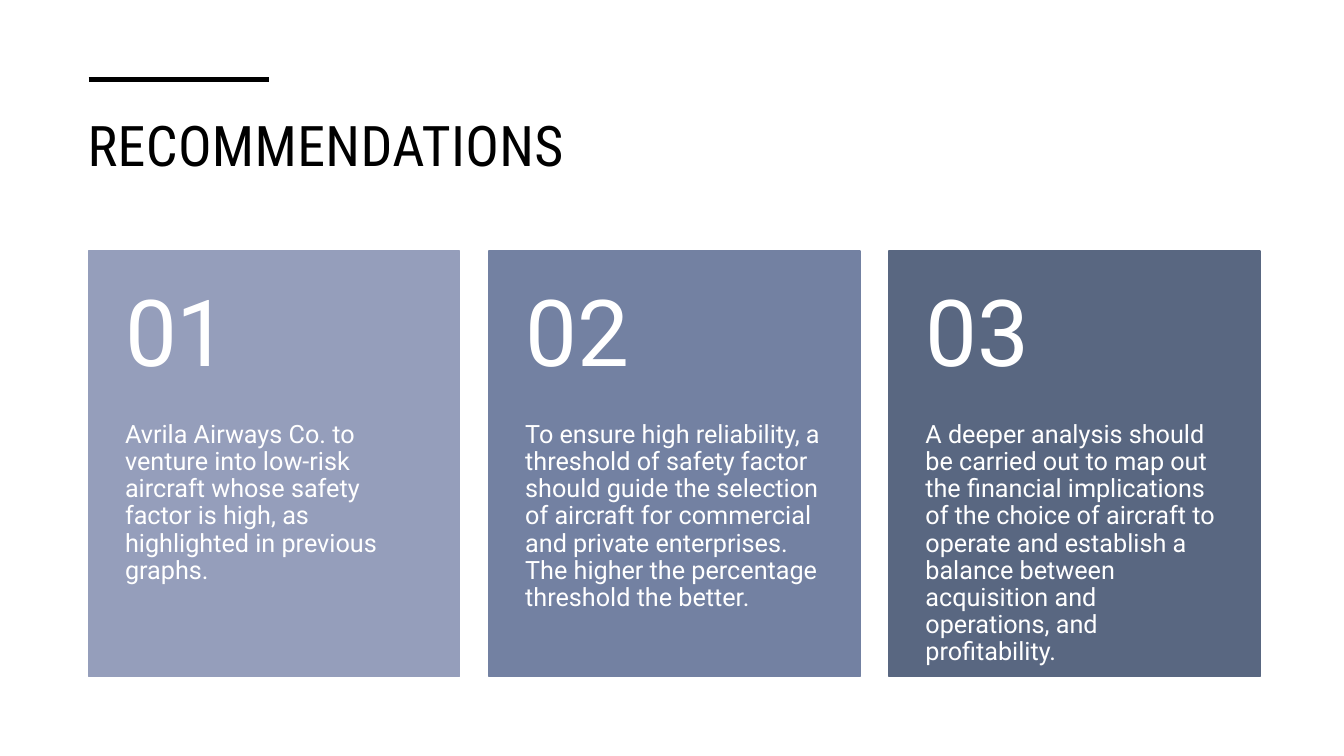
import pptx
import pptx.dml.color
import pptx.enum.shapes
import pptx.enum.text
import pptx.oxml
import pptx.util
from pptx.util import Pt

ANCHOR = pptx.enum.text.MSO_ANCHOR

CARD_LEFT, CARD_TOP = 63.4, 179.3
CARD_WIDTH, CARD_HEIGHT = 265, 303.8
CARD_PITCH = 285.85
NUMBER_HEIGHT = 121.7
PADDING = 25.9

CARDS = [
    ("959EBB", "Avrila Airways Co. to venture into low-risk aircraft whose safety "
               "factor is high, as highlighted in previous graphs."),
    ("7381A2", "To ensure high reliability, a threshold of safety factor should guide "
               "the selection of aircraft for commercial and private enterprises. "
               "The higher the percentage threshold the better."),
    ("596781", "A deeper analysis should be carried out to map out the financial "
               "implications of the choice of aircraft to operate and establish a "
               "balance between acquisition and operations, and profitability."),
]


def color(hex_string):
    return pptx.dml.color.RGBColor.from_string(hex_string)


def set_frame(frame, anchor, left, top, right, bottom):
    """Set wrapping, anchoring and insets of a text frame."""
    frame.word_wrap = True
    frame.auto_size = pptx.enum.text.MSO_AUTO_SIZE.NONE
    frame.vertical_anchor = anchor
    frame.margin_left, frame.margin_top = Pt(left), Pt(top)
    frame.margin_right, frame.margin_bottom = Pt(right), Pt(bottom)


def add_run(paragraph, text, size, font, hex_string):
    run = paragraph.add_run()
    run.text = text
    run.font.size = Pt(size)
    run.font.name = font
    run.font.color.rgb = color(hex_string)
    return run


def add_title(slide, text):
    title = slide.shapes.title
    title.left, title.top = Pt(55.4), Pt(72)
    title.width, title.height = Pt(850.3), Pt(82.8)
    set_frame(title.text_frame, ANCHOR.TOP, 7.2, 7.2, 7.2, 3.6)
    paragraph = title.text_frame.paragraphs[0]
    paragraph.alignment = pptx.enum.text.PP_ALIGN.LEFT
    run = add_run(paragraph, text, 40, "Roboto Condensed", "000000")
    run._r.get_or_add_rPr().set("spc", "30")


def add_rule(slide, left, right, top):
    rule = slide.shapes.add_connector(
        pptx.enum.shapes.MSO_CONNECTOR.STRAIGHT, Pt(left), Pt(top), Pt(right), Pt(top))
    rule.line.color.rgb = color("000000")
    rule.line.width = Pt(3.5)
    rule._element.spPr.append(pptx.oxml.parse_xml(
        '<a:effectLst xmlns:a="http://schemas.openxmlformats.org/drawingml/2006/main"/>'))


def add_card_text(shapes, text, size, left, top, height, anchor, inset_top, inset_bottom):
    box = shapes.add_textbox(Pt(left), Pt(top), Pt(CARD_WIDTH), Pt(height))
    set_frame(box.text_frame, anchor, PADDING, inset_top, PADDING, inset_bottom)
    paragraph = box.text_frame.paragraphs[0]
    paragraph.line_spacing = 0.9
    add_run(paragraph, text, size, "Roboto", "FFFFFF")


def add_card(slide, index, fill, text):
    """Add a grouped panel with its number above its text."""
    left = CARD_LEFT + index * CARD_PITCH
    shapes = slide.shapes.add_group_shape().shapes
    panel = shapes.add_shape(
        pptx.enum.shapes.MSO_SHAPE.RECTANGLE,
        Pt(left), Pt(CARD_TOP), Pt(CARD_WIDTH), Pt(CARD_HEIGHT))
    panel.shadow.inherit = False
    panel.fill.solid()
    panel.fill.fore_color.rgb = color(fill)
    panel.line.color.rgb = color(fill)
    panel.line.width = Pt(1)
    add_card_text(shapes, text, 18, left, CARD_TOP + NUMBER_HEIGHT,
                  CARD_HEIGHT - NUMBER_HEIGHT, ANCHOR.TOP, 0, PADDING)
    add_card_text(shapes, f"{index + 1:02d}", 66, left, CARD_TOP,
                  NUMBER_HEIGHT, ANCHOR.MIDDLE, PADDING / 2, PADDING / 2)


def main():
    presentation = pptx.Presentation()
    presentation.slide_width, presentation.slide_height = Pt(960), Pt(540)
    slide = presentation.slides.add_slide(presentation.slide_layouts.get_by_name("Title Only"))
    add_title(slide, "RECOMMENDATIONS")
    add_rule(slide, 63.4, 192.2, 56.9)
    for index, (fill, text) in enumerate(CARDS):
        add_card(slide, index, fill, text)
    presentation.save("out.pptx")


if __name__ == "__main__":
    main()
